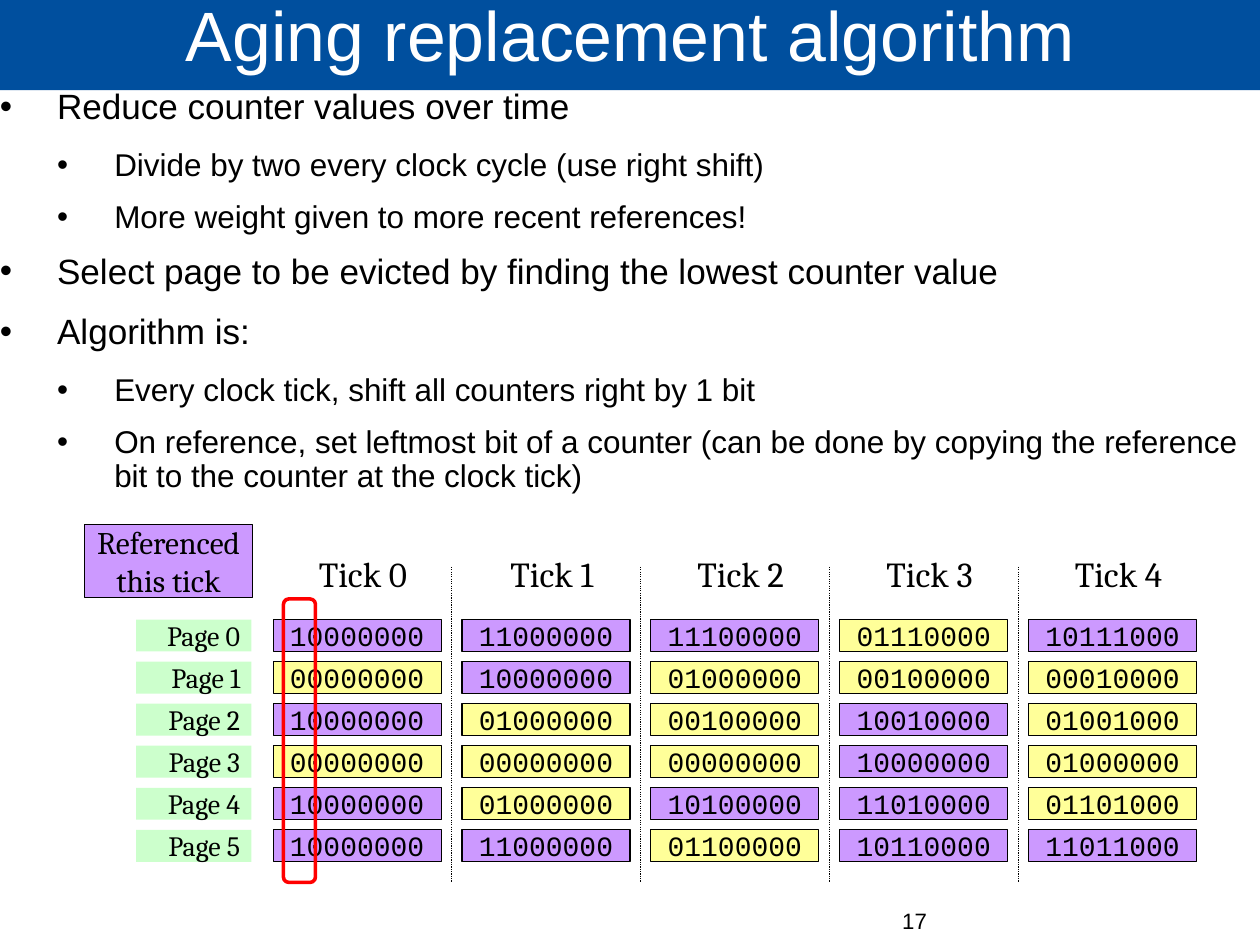
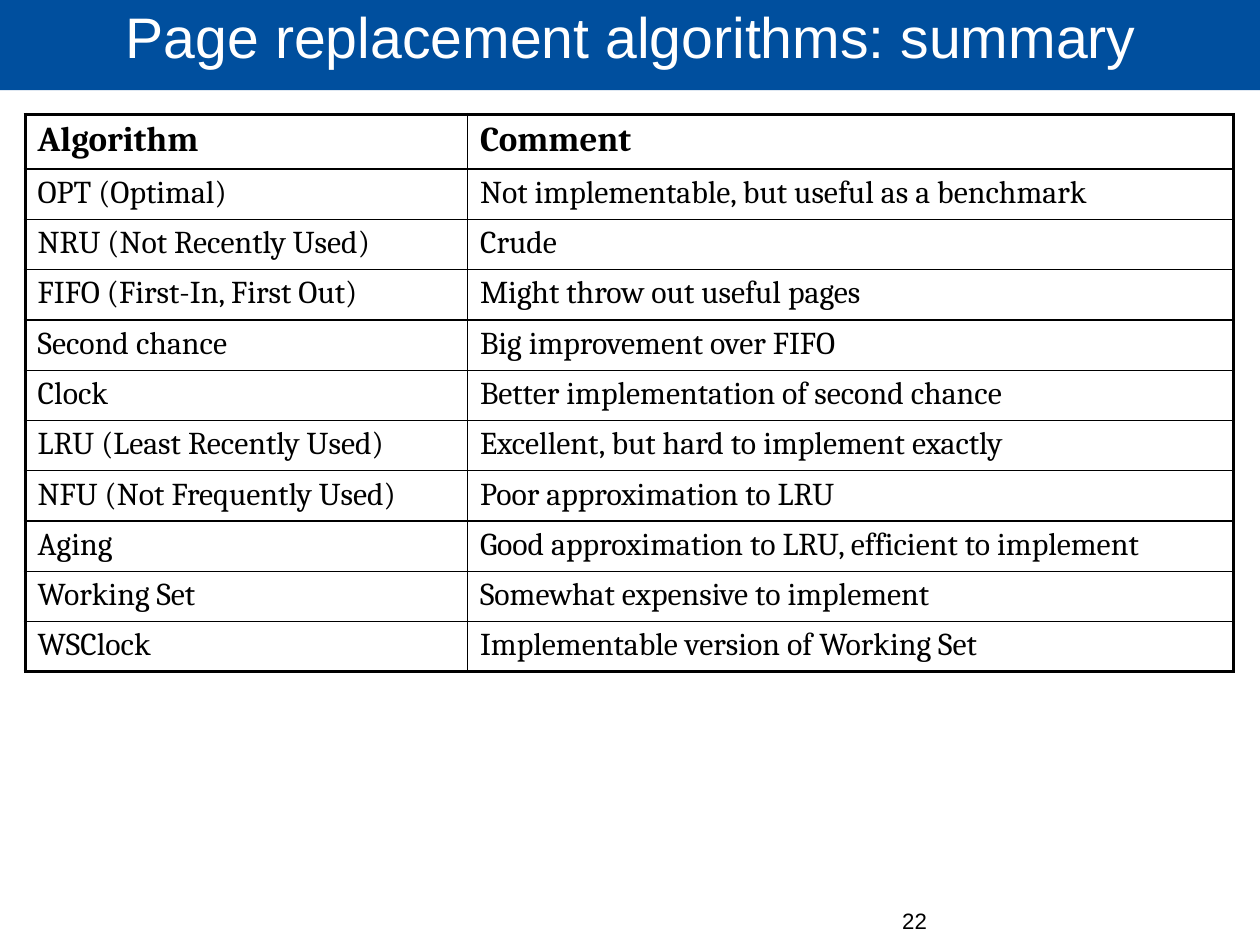
from lxml.etree import SubElement
from pptx import Presentation
from pptx.dml.color import RGBColor
from pptx.enum.dml import MSO_LINE
from pptx.enum.shapes import MSO_CONNECTOR, MSO_SHAPE
from pptx.enum.text import MSO_ANCHOR as Anchor, PP_ALIGN as Align
from pptx.oxml.ns import qn
from pptx.util import Inches, Pt

BLACK = RGBColor(0x00, 0x00, 0x00)
WHITE = RGBColor(0xFF, 0xFF, 0xFF)
BLUE = RGBColor(0x00, 0x4F, 0x9E)
PURPLE = RGBColor(0xCC, 0x99, 0xFF)
YELLOW = RGBColor(0xFF, 0xFF, 0x99)
GREEN = RGBColor(0xCC, 0xFF, 0xCC)
RED = RGBColor(0xFF, 0x00, 0x00)

# Text formats
NUMBER = {"name": "Arial", "size": Pt(14)}
TOPIC = {"name": "Arial", "size": Pt(22.1)}
DETAIL = {"name": "Arial", "size": Pt(19.8)}
BITS = {"name": "Courier New", "size": Pt(17.6)}
TICK = {"name": "Cambria", "size": Pt(22.1)}
LEGEND = {"name": "Cambria", "size": Pt(19.8)}
PAGE_NAME = {"name": "Cambria", "size": Pt(17.6)}
HEADING = {"name": "Cambria", "size": Pt(22), "bold": True}
ENTRY = {"name": "Cambria", "size": Pt(20), "bold": False}
NO_MARGINS = dict.fromkeys(
    ("margin_left", "margin_top", "margin_right", "margin_bottom"), 0)
FILLED = {"word_wrap": False, "vertical_anchor": Anchor.MIDDLE}


def write(para, text, style, color=BLACK, **layout):
    """Put text in a paragraph with a font style and paragraph settings."""
    para.text = text
    for name, value in layout.items():
        setattr(para, name, value)
    for span in para.runs:
        span.font.color.rgb = color
        for name, value in style.items():
            setattr(span.font, name, value)


def add_box(page, at, frame, fill=None, line=None, width=0.75,
            shape=MSO_SHAPE.RECTANGLE):
    """Add a shape, or a text box when shape is None."""
    place = [Inches(length) for length in at]
    if shape is None:
        box = page.shapes.add_textbox(*place)
    else:
        box = page.shapes.add_shape(shape, *place)
        box.shadow.inherit = False
    if fill is None:
        box.fill.background()
    else:
        box.fill.solid()
        box.fill.fore_color.rgb = fill
    if line is None:
        box.line.fill.background()
    else:
        box.line.color.rgb = line
        box.line.width = Pt(width)
    for name, value in frame.items():
        setattr(box.text_frame, name, value)
    return box


# Slides of 28 by 21 centimetres
deck = Presentation()
deck.slide_width, deck.slide_height = Inches(28 / 2.54), Inches(21 / 2.54)

# Title band and page number of every slide
pages = []
for title, size, number in (
        ("Aging replacement algorithm", 44, "17"),
        ("Page replacement algorithms: summary", 36, "22")):
    page = deck.slides.add_slide(deck.slide_layouts[6])
    band = add_box(page, (0, -0.02, 11.04, 0.81),
                   {**NO_MARGINS, "word_wrap": True,
                    "vertical_anchor": Anchor.MIDDLE}, BLUE)
    write(band.text_frame.paragraphs[0], title,
          {"name": "Arial", "size": Pt(size)}, WHITE,
          alignment=Align.CENTER, line_spacing=0.69)
    footer = add_box(page, (3.07, 7.94, 5.04, 0.55),
                     {**NO_MARGINS, "word_wrap": True}, shape=None)
    write(footer.text_frame.paragraphs[0], number, NUMBER,
          alignment=Align.RIGHT)
    pages.append(page)
aging, summary = pages

# Aging: bullet list
bullets = (
    (0, "Reduce counter values over time"),
    (1, "Divide by two every clock cycle (use right shift)"),
    (1, "More weight given to more recent references!"),
    (0, "Select page to be evicted by finding the lowest counter value"),
    (0, "Algorithm is:"),
    (1, "Every clock tick, shift all counters right by 1 bit"),
    (1, "On reference, set leftmost bit of a counter (can be done by copying "
        "the reference bit to the counter at the clock tick)"),
)
body = add_box(aging, (0, 0.78, 11.04, 7.18),
               {**NO_MARGINS, "word_wrap": True}, shape=None)
for index, (level, text) in enumerate(bullets):
    frame = body.text_frame
    para = frame.add_paragraph() if index else frame.paragraphs[0]
    write(para, text, DETAIL if level else TOPIC, level=level,
          line_spacing=0.9, space_after=Pt(11.4 if level else 14.2))
    props = para._p.get_or_add_pPr()
    props.set("marL", str(Inches(0.5 * (level + 1))))
    props.set("indent", str(Inches(-0.5)))
    paint = SubElement(props, qn("a:buClr"))
    SubElement(paint, qn("a:srgbClr")).set("val", str(BLACK))
    SubElement(props, qn("a:buFont")).set("typeface", "Arial")
    SubElement(props, qn("a:buChar")).set("char", "•")

# Aging: counters by tick, purple where the leftmost bit is set
ticks = (
    "10000000 00000000 10000000 00000000 10000000 10000000",
    "11000000 10000000 01000000 00000000 01000000 11000000",
    "11100000 01000000 00100000 00000000 10100000 01100000",
    "01110000 00100000 10010000 10000000 11010000 10110000",
    "10111000 00010000 01001000 01000000 01101000 11011000",
)
TICK_LEFT, CELL_WIDTH = 2.39, 1.47
TICK_STEP = (9 - TICK_LEFT) / 4
ROW_TOP, CELL_HEIGHT = 5.42, 0.28
ROW_STEP = (7.26 - ROW_TOP) / 5
for tick, counters in enumerate(ticks):
    left = TICK_LEFT + tick * TICK_STEP
    for row, bits in enumerate(counters.split()):
        cell = add_box(aging, (left, ROW_TOP + row * ROW_STEP,
                               CELL_WIDTH, CELL_HEIGHT), FILLED,
                       PURPLE if bits.startswith("1") else YELLOW, BLACK)
        write(cell.text_frame.paragraphs[0], bits, BITS,
              alignment=Align.CENTER)
    label = add_box(aging, (left + 0.29, 4.78, 0.99, 0.47),
                    {"word_wrap": False}, shape=None)
    write(label.text_frame.paragraphs[0], f"Tick {tick}", TICK,
          alignment=Align.CENTER)
    if tick:
        x = Inches(left - 0.09)
        divider = aging.shapes.add_connector(
            MSO_CONNECTOR.STRAIGHT, x, Inches(4.96), x, Inches(7.72))
        divider.line.color.rgb = BLACK
        divider.line.width = Pt(0.75)
        divider.line.dash_style = MSO_LINE.ROUND_DOT
        SubElement(divider._element.spPr, qn("a:effectLst"))

# Aging: page names, legend and outline of the leftmost bit
for row in range(6):
    name_box = add_box(aging, (1.19, ROW_TOP + row * ROW_STEP,
                               1.01, CELL_HEIGHT), FILLED, GREEN)
    write(name_box.text_frame.paragraphs[0], f"Page {row}", PAGE_NAME,
          alignment=Align.RIGHT)
legend = add_box(aging, (0.74, 4.59, CELL_WIDTH, 0.64), FILLED, PURPLE, BLACK)
write(legend.text_frame.paragraphs[0], "Referenced\nthis tick", LEGEND,
      alignment=Align.CENTER)
add_box(aging, (2.48, 5.24, 0.28, 2.48), {}, None, RED, 2.25,
        MSO_SHAPE.ROUNDED_RECTANGLE)

# Summary: table of algorithms
entries = (
    ("Algorithm", "Comment"),
    ("OPT (Optimal)", "Not implementable, but useful as a benchmark"),
    ("NRU (Not Recently Used)", "Crude"),
    ("FIFO (First-In, First Out)", "Might throw out useful pages"),
    ("Second chance", "Big improvement over FIFO"),
    ("Clock", "Better implementation of second chance"),
    ("LRU (Least Recently Used)", "Excellent, but hard to implement exactly"),
    ("NFU (Not Frequently Used)", "Poor approximation to LRU"),
    ("Aging", "Good approximation to LRU, efficient to implement"),
    ("Working Set", "Somewhat expensive to implement"),
    ("WSClock", "Implementable version of Working Set"),
)
last = len(entries) - 1
table = summary.shapes.add_table(
    len(entries), 2, Inches(0.22), Inches(1), Inches(10.57),
    Inches(4.88)).table
table.first_row = table.horz_banding = False
for column, width in zip(table.columns, (3.87, 6.7)):
    column.width = Inches(width)
for row, entry in enumerate(entries):
    table.rows[row].height = Inches(0.44 if row else 0.48)
    for col, text in enumerate(entry):
        cell = table.cell(row, col)
        cell.margin_left = cell.margin_right = Inches(0.11)
        cell.margin_top = cell.margin_bottom = Inches(0.05)
        write(cell.text_frame.paragraphs[0], text, ENTRY if row else HEADING)
        # Thick borders on the outside, thin ones inside
        for side, outer in (("L", col == 0), ("R", col == 1),
                            ("T", row == 0), ("B", row == last)):
            border = SubElement(cell._tc.get_or_add_tcPr(), qn(f"a:ln{side}"))
            border.set("w", str(Pt(2.25 if outer else 1)))
            paint = SubElement(border, qn("a:solidFill"))
            SubElement(paint, qn("a:srgbClr")).set("val", str(BLACK))
        cell.fill.background()

deck.save("out.pptx")
